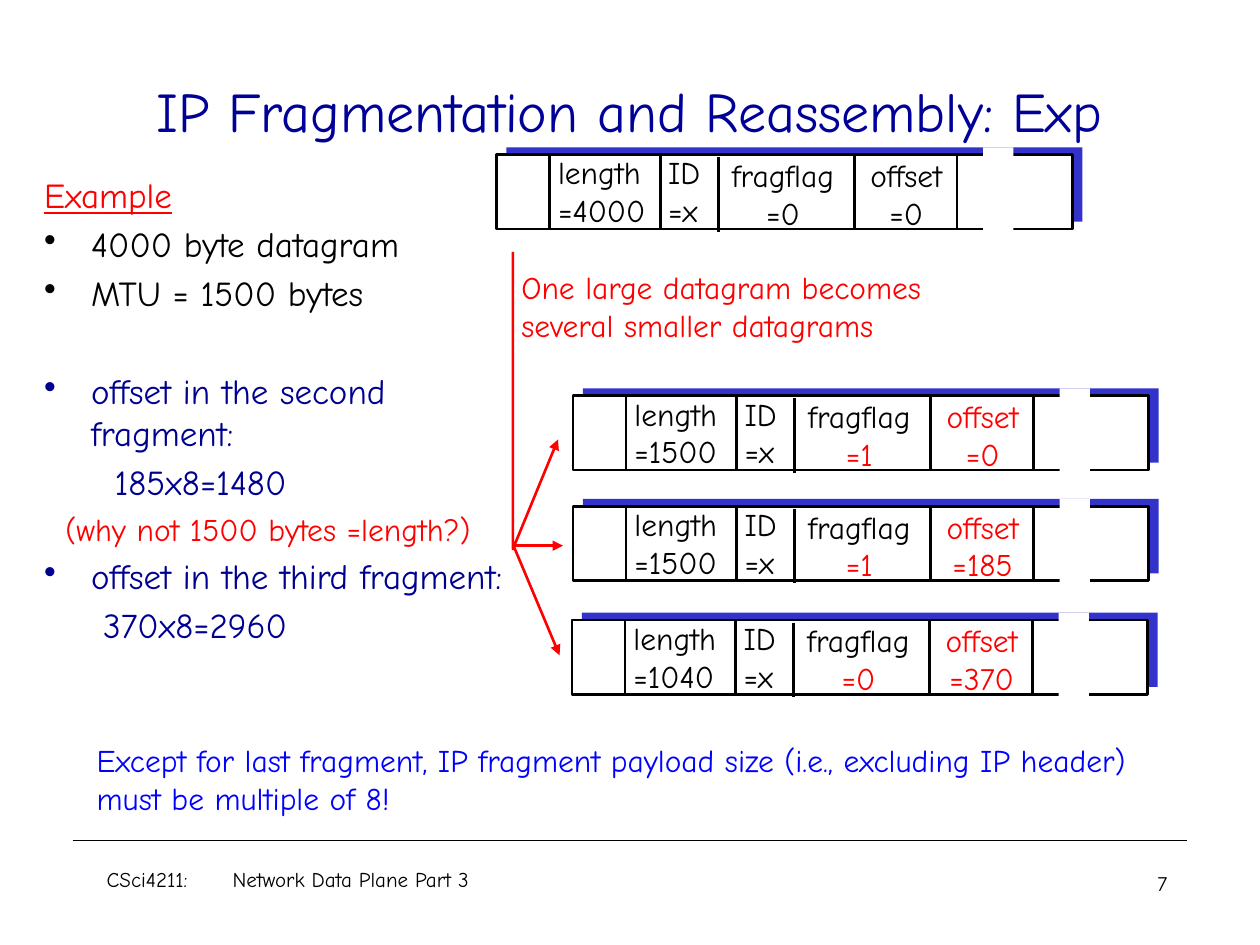
from dataclasses import dataclass, field

from pptx import Presentation
from pptx.dml.color import RGBColor
from pptx.enum.shapes import MSO_CONNECTOR as Connector, MSO_SHAPE as Shape
from pptx.enum.text import MSO_ANCHOR as Anchor, PP_ALIGN as Align
from pptx.oxml.ns import qn
from pptx.util import Cm, Pt
from lxml.etree import SubElement

COLORS = {
    "title": "000099", "ink": "000000", "red": "FF0000", "navy": "000090",
    "blue": "0000FF", "shade": "3333CC", "paper": "FFFFFF",
}


def rgb(name):
    return RGBColor.from_string(COLORS[name])


@dataclass
class Line:
    """One paragraph; margin and hanging indent in cm, space in points."""
    text: str
    color: str = "ink"
    margin: float = 0
    hanging: float = 0
    space: float = 0
    tab: float = 0
    align: int = Align.LEFT
    font: dict = field(default_factory=dict)


class SlidePainter:
    font_name = "Comic Neue"
    line_width = 1.5

    def __init__(self, slide):
        self.slide = slide
        self.shapes = slide.shapes

    def text(self, left, top, width, height, lines, size=18, wrap=True, anchor=Anchor.TOP):
        box = self.shapes.add_textbox(Cm(left), Cm(top), Cm(width), Cm(height))
        frame = box.text_frame
        frame.word_wrap = wrap
        frame.vertical_anchor = anchor
        for index, line in enumerate(lines):
            para = frame.add_paragraph() if index else frame.paragraphs[0]
            para.alignment = line.align
            para.space_before = Pt(line.space)
            self.indent(para, line)
            span = para.add_run()
            span.text = line.text
            span.font.color.rgb = rgb(line.color)
            style = {"name": self.font_name, "size": Pt(size)} | line.font
            for name, value in style.items():
                setattr(span.font, name, value)

    def indent(self, para, line):
        props = para._p.get_or_add_pPr()
        props.set("marL", str(Cm(line.margin)))
        props.set("indent", str(-Cm(line.hanging)))
        if line.hanging:
            SubElement(props, qn("a:buChar"), char="•")
        if line.tab:
            tabs = SubElement(props, qn("a:tabLst"))
            SubElement(tabs, qn("a:tab"), pos=str(Cm(line.tab)), algn="l")

    def rectangle(self, left, top, width, height, fill, outline=None):
        box = self.shapes.add_shape(Shape.RECTANGLE, Cm(left), Cm(top), Cm(width), Cm(height))
        box.shadow.inherit = False
        box.fill.solid()
        box.fill.fore_color.rgb = rgb(fill)
        if outline:
            self.stroke(box, outline)
        else:
            box.line.fill.background()

    def stroke(self, shape, color, width=None, arrow=False):
        shape.line.color.rgb = rgb(color)
        shape.line.width = Pt(width or self.line_width)
        if arrow:
            SubElement(shape.line._get_or_add_ln(), qn("a:tailEnd"), type="triangle")

    def line(self, start, end, color="ink", width=None, arrow=False):
        ends = [Cm(value) for value in (*start, *end)]
        connector = self.shapes.add_connector(Connector.STRAIGHT, *ends)
        self.stroke(connector, color, width, arrow)
        SubElement(connector._element.spPr, qn("a:effectLst"))

    def bent_arrow(self, points, color):
        first, *rest = [(Cm(x), Cm(y)) for x, y in points]
        builder = self.shapes.build_freeform(*first)
        builder.add_line_segments(rest, close=False)
        arrow = builder.convert_to_shape()
        arrow.shadow.inherit = False
        arrow.fill.background()
        self.stroke(arrow, color, arrow=True)

    def datagram(self, left, top, length, flag, offset, flag_color="red", offset_color="red"):
        # Bar over its offset shade
        self.rectangle(left + 0.2, top - 0.15, 11.61, 1.5, "shade")
        self.rectangle(left, top, 11.61, 1.5, "paper", "ink")
        # Header fields: shift, drop, width, label, value, colours, alignment
        fields = [
            (0.99, -0.15, 2.38, "length", length, "ink", "ink", Align.LEFT),
            (3.21, -0.15, 1.32, "ID", "x", "ink", "ink", Align.LEFT),
            (4.29, -0.1, 2.97, "fragflag", flag, "ink", flag_color, Align.CENTER),
            (7.04, -0.1, 2.44, "offset", offset, offset_color, offset_color, Align.CENTER),
        ]
        for shift, drop, width, label, value, label_color, value_color, align in fields:
            lines = [Line(label, label_color, align=align),
                     Line(f"={value}", value_color, align=align)]
            self.text(left + shift, top + drop, width, 1.78, lines, wrap=False)
        # Dividers; the one before fragflag sits slightly lower
        for shift, drop in [(1.07, 0), (3.3, 0), (4.47, 0.05), (7.21, 0), (9.28, 0)]:
            x, y = left + shift, top + drop
            self.line((x, y), (x, y + 1.5))
        # Gap in the payload
        self.rectangle(left + 9.81, top - 0.15, 0.61, 1.68, "paper")


def main():
    deck = Presentation()
    deck.slide_width, deck.slide_height = Cm(25.4), Cm(19.05)
    page = SlidePainter(deck.slides.add_slide(deck.slide_layouts[6]))

    # Footer rule and title
    page.line((1.47, 16.94), (23.93, 16.94), width=0.75)
    title = Line("IP Fragmentation and Reassembly: Exp", "title", align=Align.CENTER)
    page.text(1.9, 0.64, 21.59, 3.18, [title], size=32, anchor=Anchor.MIDDLE)

    # Large datagram, then its three fragments
    page.datagram(10.01, 3.12, 4000, 0, 0, flag_color="ink", offset_color="ink")
    page.datagram(11.55, 7.98, 1500, 1, 0)
    page.datagram(11.55, 10.21, 1500, 1, 185)
    page.datagram(11.53, 12.5, 1040, 0, 370)

    # Arrows from the large datagram to the fragments
    page.bent_arrow([(10.34, 5.08), (10.34, 11.07), (11.25, 8.86)], "red")
    for start, end in [((10.34, 11), (11.35, 11)), ((10.36, 11.02), (11.28, 13.21))]:
        page.line(start, end, "red", arrow=True)
    callout = [Line("One large datagram becomes", "red"),
               Line("several smaller datagrams", "red")]
    page.text(10.26, 5.28, 9.07, 1.78, callout, wrap=False)

    # Worked example
    bullet = {"margin": 0.95, "hanging": 0.95, "space": 4}
    example = [
        Line("Example", "red", space=4, font={"underline": True}),
        Line("4000 byte datagram", **bullet),
        Line("MTU = 1500 bytes", **bullet),
        Line("offset in the second fragment:", "navy", **bullet | {"space": 32}),
        Line("185x8=1480", "navy", margin=1.42, space=4),
        Line("(why not 1500 bytes =length?)", "red", margin=0.43, space=4,
             font={"size": Pt(18)}),
        Line("offset in the third fragment:", "navy", **bullet),
        Line("370x8=2960", "navy", margin=1.19, space=4),
    ]
    page.text(0.64, 3.38, 9.88, 11.51, example, size=20)

    # Closing note
    note = Line("Except for last fragment, IP fragment payload size "
                "(i.e., excluding IP header) must be multiple of 8!", "blue")
    page.text(1.7, 14.81, 22.43, 2.82, [note])

    # Page number and footer
    page.text(19.3, 17.42, 8.26, 1.27, [Line("7", align=Align.CENTER)], size=12)
    footer = Line("CSci4211:\tNetwork Data Plane Part 3", tab=3.18)
    page.text(1.9, 17.35, 9.96, 0.84, [footer], size=12)

    deck.save("out.pptx")


if __name__ == "__main__":
    main()
